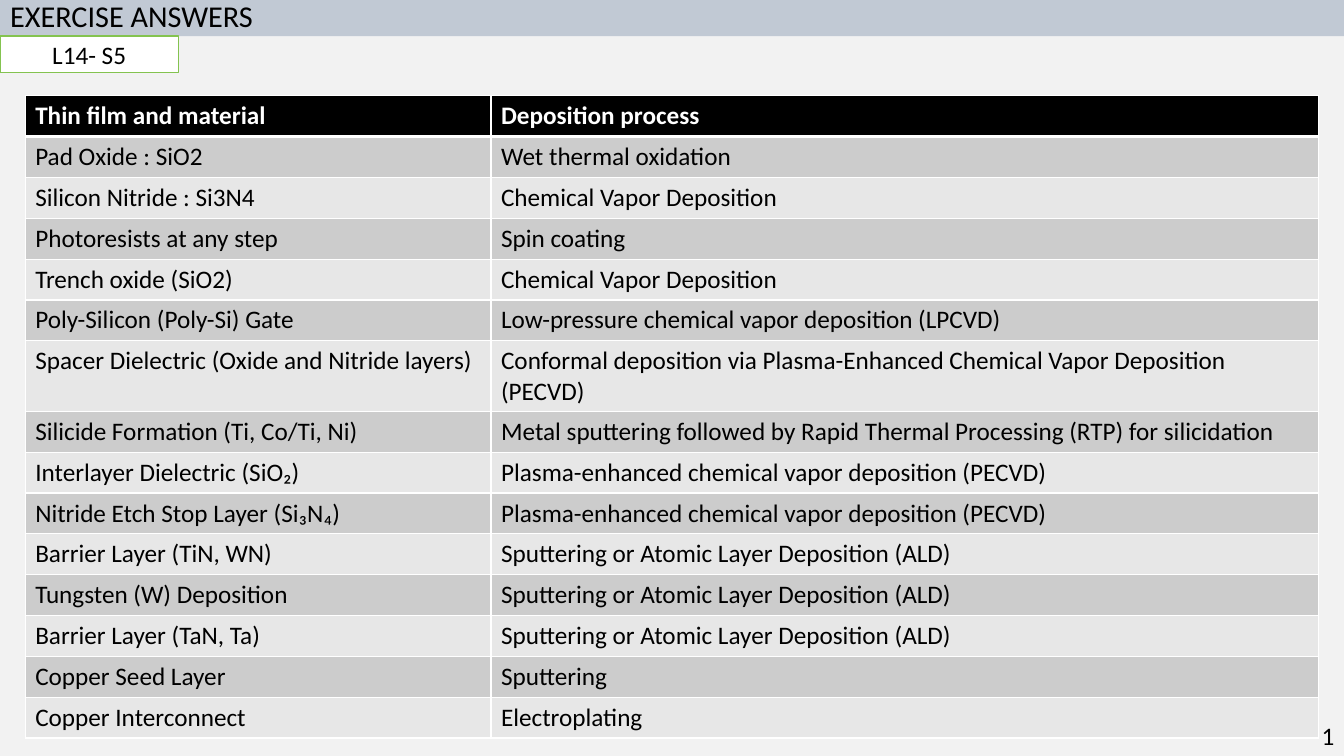
import pptx
import pptx.util
import pptx.dml.color
import pptx.enum.shapes
import pptx.enum.text
import pptx.oxml
import pptx.oxml.ns
from dataclasses import dataclass

Inches = pptx.util.Inches
Pt = pptx.util.Pt
Color = pptx.dml.color.RGBColor.from_string
Align = pptx.enum.text.PP_ALIGN
Anchor = pptx.enum.text.MSO_ANCHOR


@dataclass(frozen=True)
class Theme:
    font: str = "Calibri"
    title_size: float = 21.6
    body_size: float = 18
    background: str = "F2F2F2"
    title_bar: str = "C1C9D4"
    tag_line: str = "84C350"
    dark: str = "000000"
    light: str = "FFFFFF"
    bands: tuple = ("CCCCCC", "E7E7E7")


theme = Theme()


def write_text(frame, text, size=theme.body_size, color=theme.dark, bold=False,
               align=Align.LEFT, anchor=Anchor.TOP, wrap=True, spacing=None):
    frame.word_wrap = wrap
    frame.vertical_anchor = anchor
    paragraph = frame.paragraphs[0]
    paragraph.alignment = align
    paragraph.line_spacing = spacing
    run = paragraph.add_run()
    run.text = text
    run.font.name = theme.font
    run.font.size = Pt(size)
    run.font.bold = bold
    run.font.color.rgb = Color(color)


def add_border(cell, side, width):
    cell._tc.get_or_add_tcPr().append(pptx.oxml.parse_xml(
        f'<a:{side} {pptx.oxml.ns.nsdecls("a")} w="{Pt(width)}">'
        f'<a:solidFill><a:srgbClr val="{theme.light}"/></a:solidFill></a:{side}>'))


deck = pptx.Presentation()
deck.slide_width = Inches(13.33)
deck.slide_height = Inches(7.5)
slide = deck.slides.add_slide(deck.slide_layouts[5])
slide.background.fill.solid()
slide.background.fill.fore_color.rgb = Color(theme.background)

heading = slide.shapes.title
heading.left, heading.top = Inches(0), Inches(0)
heading.width, heading.height = Inches(13.33), Inches(0.36)
heading.fill.solid()
heading.fill.fore_color.rgb = Color(theme.title_bar)
heading.text_frame.auto_size = pptx.enum.text.MSO_AUTO_SIZE.NONE
write_text(heading.text_frame, "EXERCISE ANSWERS", size=theme.title_size,
           anchor=Anchor.MIDDLE, spacing=0.9)

page_number = slide.shapes.add_textbox(Inches(13.01), Inches(7.1), Inches(0.32), Inches(0.4))
write_text(page_number.text_frame, "1", wrap=False)

lesson_tag = slide.shapes.add_shape(pptx.enum.shapes.MSO_SHAPE.RECTANGLE,
                                    Inches(0), Inches(0.36), Inches(1.77), Inches(0.36))
lesson_tag.shadow.inherit = False
lesson_tag.fill.solid()
lesson_tag.fill.fore_color.rgb = Color(theme.light)
lesson_tag.line.color.rgb = Color(theme.tag_line)
lesson_tag.line.width = Pt(1.25)
write_text(lesson_tag.text_frame, "L14- S5", align=Align.CENTER, anchor=Anchor.MIDDLE)

pecvd = "Plasma-enhanced chemical vapor deposition (PECVD)"
ald = "Sputtering or Atomic Layer Deposition (ALD)"
cvd = "Chemical Vapor Deposition"
answers = [
    ("Thin film and material", "Deposition process"),
    ("Pad Oxide : SiO2", "Wet thermal oxidation"),
    ("Silicon Nitride : Si3N4", cvd),
    ("Photoresists at any step", "Spin coating"),
    ("Trench oxide (SiO2)", cvd),
    ("Poly-Silicon (Poly-Si) Gate", "Low-pressure chemical vapor deposition (LPCVD)"),
    ("Spacer Dielectric (Oxide and Nitride layers)",
     "Conformal deposition via Plasma-Enhanced Chemical Vapor Deposition (PECVD)"),
    ("Silicide Formation (Ti, Co/Ti, Ni)",
     "Metal sputtering followed by Rapid Thermal Processing (RTP) for silicidation"),
    ("Interlayer Dielectric (SiO₂)", pecvd),
    ("Nitride Etch Stop Layer (Si₃N₄)", pecvd),
    ("Barrier Layer (TiN, WN)", ald),
    ("Tungsten (W) Deposition", ald),
    ("Barrier Layer (TaN, Ta)", ald),
    ("Copper Seed Layer", "Sputtering"),
    ("Copper Interconnect", "Electroplating"),
]
answer_table = slide.shapes.add_table(len(answers), 2, Inches(0.25), Inches(0.95),
                                      Inches(12.83), Inches(6.08)).table
answer_table.columns[0].width = Inches(4.62)
answer_table.columns[1].width = Inches(8.21)

for row, answer in enumerate(answers):
    is_header = row == 0
    answer_table.rows[row].height = Inches(6.08 / len(answers))
    for column, text in enumerate(answer):
        cell = answer_table.cell(row, column)
        add_border(cell, "lnL", 1)
        add_border(cell, "lnR", 1)
        add_border(cell, "lnT", 3 if row == 1 else 1)
        add_border(cell, "lnB", 3 if is_header else 1)
        cell.fill.solid()
        cell.fill.fore_color.rgb = Color(theme.dark if is_header else theme.bands[(row - 1) % 2])
        write_text(cell.text_frame, text, bold=is_header,
                   color=theme.light if is_header else theme.dark)

deck.save("out.pptx")
